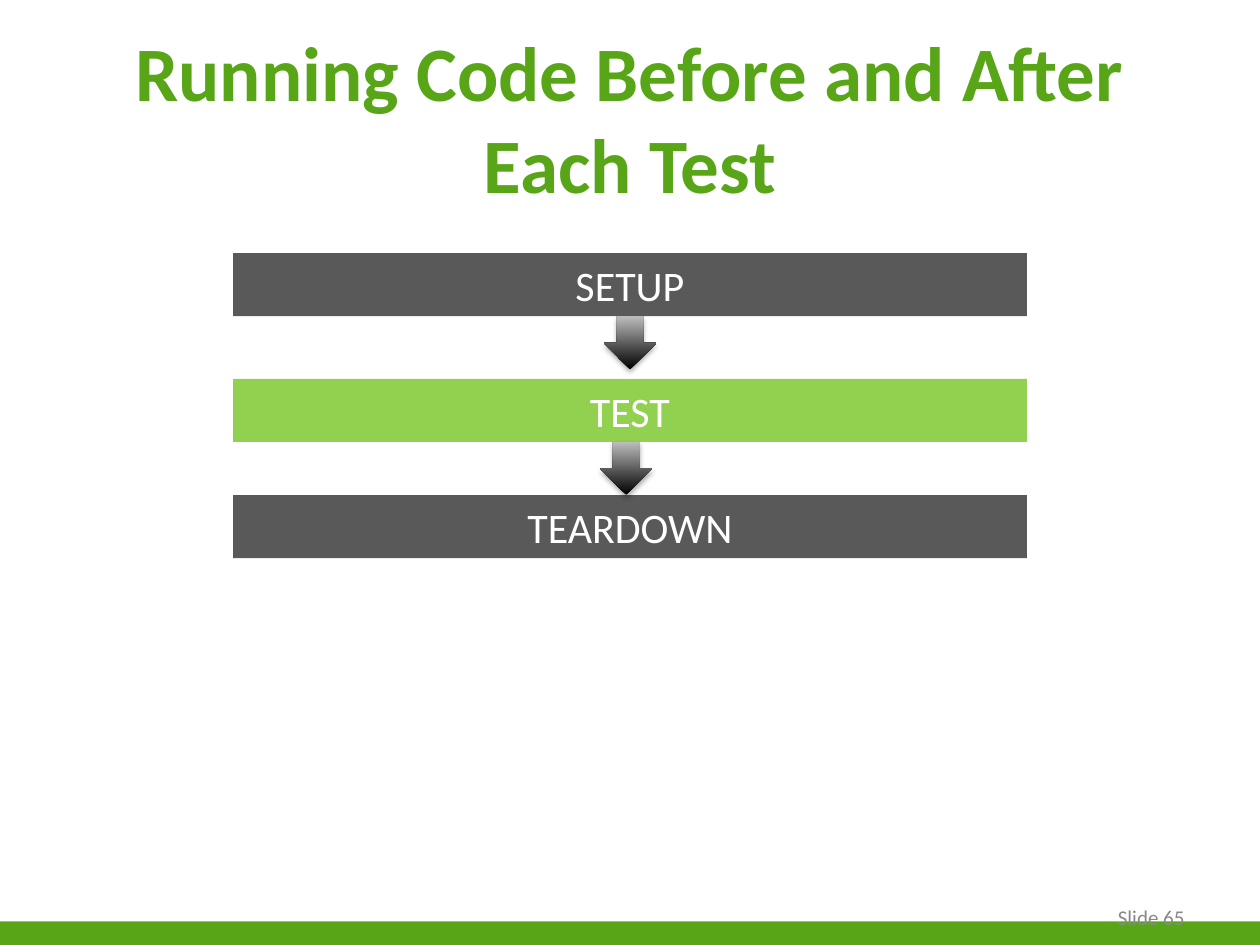
from dataclasses import dataclass

from lxml.etree import SubElement
from pptx import Presentation
from pptx.dml.color import RGBColor
from pptx.enum.shapes import MSO_SHAPE
from pptx.enum.text import MSO_ANCHOR, PP_ALIGN
from pptx.oxml.ns import qn
from pptx.util import Inches, Pt


@dataclass(frozen=True)
class Theme:
    font: str = "Calibri"
    green: str = "58A618"
    lime: str = "92D050"
    dark: str = "595959"
    white: str = "FFFFFF"
    muted: str = "898989"
    arrow_start: str = "000000"
    arrow_end: str = "BDBDBD"
    title_size: int = 44
    step_size: int = 24
    footer_size: int = 12


T = Theme()
WIDTH, HEIGHT = 10, 7.5
STEPS = [  # label, fill, top as a share of the flow's height
    ("SETUP", T.dark, 0),
    ("TEST", T.lime, 0.41),
    ("TEARDOWN", T.dark, 0.79),
]
ARROW_SHIFTS = [0, -0.03]


def place(shape, x, y, w, h):
    shape.left, shape.top, shape.width, shape.height = map(Inches, (x, y, w, h))


def write(shape, text, size, color, align=PP_ALIGN.CENTER, bold=False):
    tf = shape.text_frame
    tf.word_wrap = True
    tf.text = text
    p = tf.paragraphs[0]
    p.alignment = align
    font = p.runs[0].font
    font.name, font.size, font.bold = T.font, Pt(size), bold
    font.color.rgb = RGBColor.from_string(color)


def add_block(s, kind, x, y, w, h, fill=None):
    shape = s.shapes.add_shape(kind, *map(Inches, (x, y, w, h)))
    shape.shadow.inherit = False
    shape.line.fill.background()
    if fill:
        shape.fill.solid()
        shape.fill.fore_color.rgb = RGBColor.from_string(fill)
    return shape


def add_soft_shadow(shape):
    effects = shape._element.spPr.find(qn("a:effectLst"))
    shadow = SubElement(effects, qn("a:outerShdw"), blurRad=str(Pt(3.1)),
                        dist=str(Pt(1.8)), dir="5400000", rotWithShape="0")
    color = SubElement(shadow, qn("a:srgbClr"), val="000000")
    SubElement(color, qn("a:alpha"), val="35000")


def add_arrow(s, x, y, size):
    arrow = add_block(s, MSO_SHAPE.DOWN_ARROW, x, y, size, size)
    arrow.fill.gradient()
    arrow.fill.gradient_angle = 90
    for stop, color in zip(arrow.fill.gradient_stops, (T.arrow_start, T.arrow_end)):
        stop.color.rgb = RGBColor.from_string(color)
    add_soft_shadow(arrow)


def add_title(s, text, x, y, w, h):
    title = s.shapes.title
    place(title, x, y, w, h)
    title.text_frame.vertical_anchor = MSO_ANCHOR.MIDDLE
    write(title, text, T.title_size, T.green, bold=True)


def add_flow(s, x, y, w, h):
    """Stack the steps, with an arrow under each one but the last."""
    bar_h, arrow_size = 0.206 * h, w / 15
    for label, fill, top in STEPS:
        bar = add_block(s, MSO_SHAPE.RECTANGLE, x, y + top * h, w, bar_h, fill)
        bar.text_frame.vertical_anchor = MSO_ANCHOR.MIDDLE
        write(bar, label, T.step_size, T.white)
    for (_, _, top), shift in zip(STEPS, ARROW_SHIFTS):
        add_arrow(s, x + (w - arrow_size) / 2 + shift, y + top * h + bar_h, arrow_size)


def add_footer(s, text, x, y, w, h):
    add_block(s, MSO_SHAPE.RECTANGLE, x, y, w, h, T.green)
    box_w, box_h = 0.233 * w, 0.4
    number = s.shapes.add_textbox(*map(Inches, (0.95 * w - box_w, y + 0.07 - box_h, box_w, box_h)))
    tf = number.text_frame
    tf.vertical_anchor = MSO_ANCHOR.BOTTOM
    tf.margin_bottom = 0
    write(number, text, T.footer_size, T.muted, PP_ALIGN.RIGHT)


def main():
    prs = Presentation()
    prs.slide_width, prs.slide_height = Inches(WIDTH), Inches(HEIGHT)
    s = prs.slides.add_slide(prs.slide_layouts[5])
    add_title(s, "Running Code Before and After Each Test",
              0.05 * WIDTH, 0.04 * HEIGHT, 0.9 * WIDTH, HEIGHT / 6)
    add_flow(s, 0.185 * WIDTH, 0.268 * HEIGHT, 0.63 * WIDTH, 0.324 * HEIGHT)
    add_footer(s, "Slide 65", 0, 0.975 * HEIGHT, WIDTH, 0.026 * HEIGHT)
    prs.save("out.pptx")


if __name__ == "__main__":
    main()
